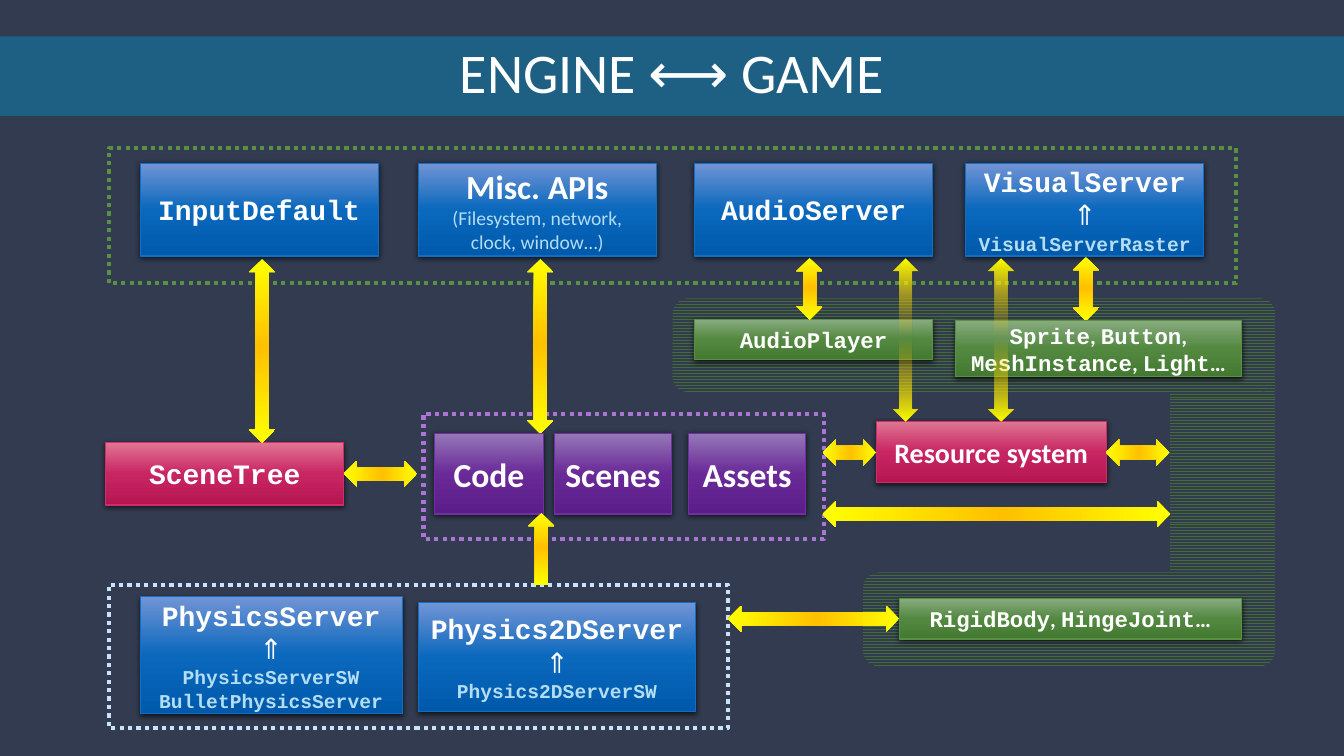
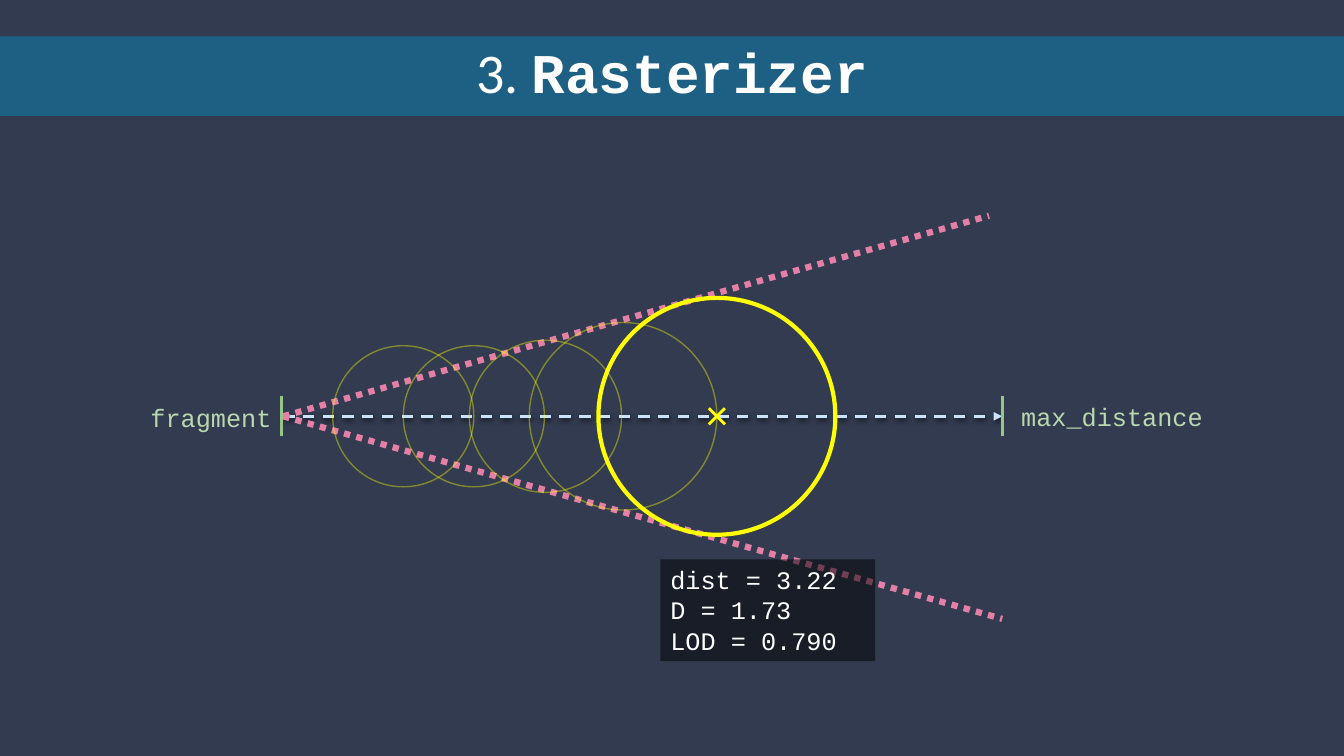
from copy import deepcopy

from pptx import Presentation
from pptx.dml.color import RGBColor
from pptx.enum.dml import MSO_LINE as DASH, MSO_PATTERN as PATTERN
from pptx.enum.shapes import MSO_CONNECTOR as CONNECTOR, MSO_SHAPE as SHAPE
from pptx.enum.text import MSO_ANCHOR as ANCHOR, MSO_AUTO_SIZE as AUTO_SIZE, PP_ALIGN as ALIGN
from pptx.oxml import parse_xml
from pptx.oxml.ns import nsdecls, qn
from pptx.util import Inches, Pt

BACKGROUND, BAND = "323B4F", "009DD9"
WHITE, YELLOW, ICE, SKY = "FFFFFF", "FFFF00", "C8E3FB", "B2DDF2"
PINK, SAGE, LEAF = "E480A6", "BAD8AF", "97C587"
SANS, MONO = "Calibri", "Courier New"

TITLE = (SANS, 40, WHITE, False)
TITLE_CODE = (MONO, 40, WHITE, True)
SERVER = (MONO, 20, WHITE, True)
ARROW_UP = (SANS, 20, WHITE, False)
BACKEND = (MONO, 14, SKY, True)
HEADING = (SANS, 24, WHITE, True)
DETAIL = (SANS, 14, SKY, False)
SYSTEM = (SANS, 20, WHITE, True)
NODE = (MONO, 16, WHITE, True)
NODE_MARK = (SANS, 16, WHITE, True)
LABEL = (MONO, 18, SAGE, False)
READOUT = (MONO, 18, WHITE, False)

BLUE = ("7294D5", "0A68BD", "0059AB", "0F6FC6")
PURPLE = ("9577B7", "692A98", "5B1D89", "7030A0")
RED = ("DF7692", "C82563", "B51652", "D22C6B")
GREEN = ("88AB7F", "528840", "447932", "599046")

SHADOW = (
    f'<a:outerShdw {nsdecls("a")} blurRad="50800" dist="15240" dir="5400000" rotWithShape="0">'
    '<a:srgbClr val="000000"><a:alpha val="68000"/></a:srgbClr></a:outerShdw>'
)


def paint(fill, *colors, alpha=100, middle=0.5):
    if len(colors) == 1:
        fill.solid()
        fill.fore_color.rgb = RGBColor.from_string(colors[0])
        tinted = fill._xPr.find(qn("a:solidFill"))[0] if alpha < 100 else None
    else:
        fill.gradient()
        fill.gradient_angle = 270
        stops = fill._xPr.find(qn("a:gradFill")).find(qn("a:gsLst"))
        stops.insert(1, deepcopy(stops[0]))
        for stop, color, position in zip(fill.gradient_stops, colors, (0, middle, 1)):
            stop.color.rgb = RGBColor.from_string(color)
            stop.position = position
        tinted = stops[1][0]
    if alpha < 100:
        tinted.append(parse_xml(f'<a:alpha {nsdecls("a")} val="{alpha * 1000}"/>'))


def write(frame, lines, align=ALIGN.CENTER, anchor=ANCHOR.MIDDLE):
    frame.word_wrap = True
    frame.vertical_anchor = anchor
    for index, line in enumerate(lines):
        para = frame.add_paragraph() if index else frame.paragraphs[0]
        para.alignment = align
        for text, (name, size, color, bold) in line:
            span = para.add_run()
            span.text = text
            span.font.name = name
            span.font.size = Pt(size)
            span.font.bold = bold
            paint(span.font.fill, color)


deck = Presentation()
deck.slide_width = Inches(13.33)
deck.slide_height = Inches(7.5)
paint(deck.slide_master.background.fill, BACKGROUND)

titles = [
    [("ENGINE ⟷ GAME", TITLE)],
    [("3. ", TITLE), ("Rasterizer", TITLE_CODE)],
]
for runs in titles:
    page = deck.slides.add_slide(deck.slide_layouts[5])
    title = page.shapes.title
    title.left, title.top = Inches(0), Inches(0.36)
    title.width, title.height = Inches(13.33), Inches(0.79)
    paint(title.fill, BAND, alpha=38)
    write(title.text_frame, [runs])
    title.text_frame.auto_size = AUTO_SIZE.NONE
    title.text_frame.paragraphs[0].line_spacing = 0.85

engine, rasterizer = deck.slides

node_areas = [(11.6, 2.96, 1.05, 3.23), (8.56, 5.68, 4.09, 0.93), (6.67, 2.96, 5.98, 0.93)]
for place in node_areas:
    area = engine.shapes.add_shape(SHAPE.ROUNDED_RECTANGLE, *map(Inches, place))
    area.shadow.inherit = False
    area.line.fill.background()
    area.fill.patterned()
    area.fill.pattern = PATTERN.ZIG_ZAG
    area.fill.fore_color.rgb = RGBColor.from_string("436C34")
    area.fill.back_color.rgb = RGBColor.from_string(BACKGROUND)

frames = [
    ((4.2, 4.11, 3.97, 1.24), "AB74D5"),
    ((1.08, 1.47, 11.18, 1.34), "599046"),
    ((1.08, 5.8, 6.14, 1.42), ICE),
]
for place, color in frames:
    frame = engine.shapes.add_shape(SHAPE.RECTANGLE, *map(Inches, place))
    frame.shadow.inherit = False
    frame.fill.background()
    paint(frame.line.fill, color)
    frame.line.width = Pt(3)
    frame.line.dash_style = DASH.ROUND_DOT

up = [("⇑", ARROW_UP)]
boxes = [
    ((1.39, 1.62, 2.36, 0.92), BLUE, [[("InputDefault", SERVER)]]),
    ((4.15, 1.62, 2.36, 0.92), BLUE, [
        [("Misc. APIs", HEADING)],
        [("(Filesystem, network,", DETAIL)],
        [("clock, window…)", DETAIL)],
    ]),
    ((6.89, 1.62, 2.36, 0.92), BLUE, [[("AudioServer", SERVER)]]),
    ((9.58, 1.62, 2.36, 0.92), BLUE, [
        [("VisualServer", SERVER)], up, [("VisualServerRaster", BACKEND)],
    ]),
    ((1.39, 5.92, 2.6, 1.16), BLUE, [
        [("PhysicsServer", SERVER)], up,
        [("PhysicsServerSW", BACKEND)], [("BulletPhysicsServer", BACKEND)],
    ]),
    ((4.15, 5.98, 2.75, 1.08), BLUE, [
        [("Physics2DServer", SERVER)], up, [("Physics2DServerSW", BACKEND)],
    ]),
    ((4.31, 4.3, 1.08, 0.8), PURPLE, [[("Code", HEADING)]]),
    ((5.5, 4.3, 1.16, 0.8), PURPLE, [[("Scenes", HEADING)]]),
    ((6.83, 4.3, 1.16, 0.8), PURPLE, [[("Assets", HEADING)]]),
    ((1.05, 4.39, 2.36, 0.62), RED, [[("SceneTree", SERVER)]]),
    ((8.69, 4.18, 2.28, 0.61), RED, [[("Resource system", SYSTEM)]]),
    ((6.89, 3.17, 2.36, 0.4), GREEN, [[("AudioPlayer", NODE)]]),
]
node_groups = [
    ((8.92, 5.94, 3.39, 0.4), ["RigidBody", "HingeJoint"]),
    ((9.48, 3.18, 2.83, 0.56), ["Sprite", "Button", "MeshInstance", "Light"]),
]
for place, names in node_groups:
    runs = []
    for name in names:
        runs += [(name, NODE), (", ", NODE_MARK)]
    runs[-1] = ("…", NODE_MARK)
    boxes.append((place, GREEN, [runs]))

for place, (top_color, mid_color, low_color, edge), lines in boxes:
    box = engine.shapes.add_shape(SHAPE.RECTANGLE, *map(Inches, place))
    paint(box.fill, top_color, mid_color, low_color)
    paint(box.line.fill, edge)
    box.line.width = Pt(0.75)
    box.shadow.inherit = False
    box._element.spPr.find(qn("a:effectLst")).append(parse_xml(SHADOW))
    write(box.text_frame, lines)

THICKNESS = 0.26
arrows = [
    (SHAPE.UP_DOWN_ARROW, center, top, length, 0, alpha)
    for center, top, length, alpha in [
        (5.36, 2.57, 1.73, 100),
        (2.6, 2.57, 1.82, 100),
        (8.03, 2.56, 0.61, 100),
        (10.77, 2.55, 0.63, 100),
        (8.98, 2.57, 1.61, 0),
        (9.93, 2.57, 1.61, 0),
    ]
]
arrows.append((SHAPE.UP_ARROW, 5.37, 5.09, 0.71, 0, 100))
arrows += [
    (SHAPE.UP_DOWN_ARROW, left + length / 2, middle - length / 2, length, 90, 100)
    for left, middle, length in [
        (3.41, 4.7, 0.73),
        (7.22, 6.14, 1.7),
        (8.16, 4.49, 0.53),
        (10.97, 4.49, 0.63),
        (8.16, 5.1, 3.45),
    ]
]
for kind, center, top, length, rotation, alpha in arrows:
    arrow = engine.shapes.add_shape(
        kind, Inches(center - THICKNESS / 2), Inches(top), Inches(THICKNESS), Inches(length)
    )
    arrow.rotation = rotation
    arrow.shadow.inherit = False
    arrow.line.fill.background()
    paint(arrow.fill, YELLOW, "FFC000", YELLOW, alpha=alpha, middle=0.48)

AXIS = 4.13
lines = [
    ((2.81, AXIS), (9.94, AXIS), ICE, 2, DASH.DASH),
    ((2.81, AXIS), (9.94, 6.14), PINK, 4.5, DASH.ROUND_DOT),
    ((2.81, AXIS), (9.81, 2.14), PINK, 4.5, DASH.ROUND_DOT),
    ((9.94, AXIS - 0.2), (9.94, AXIS + 0.2), LEAF, 2, None),
    ((2.79, AXIS - 0.2), (2.79, AXIS + 0.2), LEAF, 2, None),
    ((7.19, AXIS - 0.08), (7.03, AXIS + 0.08), YELLOW, 2, None),
    ((7.19, AXIS + 0.08), (7.03, AXIS - 0.08), YELLOW, 2, None),
]
for start, end, color, width, dash in lines:
    line = rasterizer.shapes.add_connector(CONNECTOR.STRAIGHT, *map(Inches, start + end))
    paint(line.line.fill, color)
    line.line.width = Pt(width)
    line.line.dash_style = dash
    effects = parse_xml(f'<a:effectLst {nsdecls("a")}/>')
    line._element.spPr.append(effects)
    if dash == DASH.DASH:
        head = parse_xml(f'<a:tailEnd {nsdecls("a")} type="triangle"/>')
        line._element.spPr.find(qn("a:ln")).append(head)
        effects.append(parse_xml(SHADOW))

circles = [
    (4, 1.4, 1, 40),
    (4.7, 1.4, 1, 40),
    (5.41, 1.51, 1, 40),
    (6.18, 1.86, 1, 40),
    (7.11, 2.35, 3, 100),
]
for center, size, width, alpha in circles:
    circle = rasterizer.shapes.add_shape(
        SHAPE.OVAL, Inches(center - size / 2), Inches(AXIS - size / 2), Inches(size), Inches(size)
    )
    circle.shadow.inherit = False
    circle.fill.background()
    paint(circle.line.fill, YELLOW, alpha=alpha)
    circle.line.width = Pt(width)

labels = [
    ((10.03, 3.93, 2.2, 0.4), "max_distance", ALIGN.LEFT),
    ((1.28, 3.94, 1.51, 0.4), "fragment", ALIGN.RIGHT),
]
for place, text, align in labels:
    label = rasterizer.shapes.add_textbox(*map(Inches, place))
    write(label.text_frame, [[(text, LABEL)]], align, ANCHOR.TOP)

readout = rasterizer.shapes.add_shape(SHAPE.RECTANGLE, *map(Inches, (6.55, 5.55, 2.13, 1.01)))
readout.shadow.inherit = False
readout.line.fill.background()
paint(readout.fill, "000000", alpha=50)
values = ["dist = 3.22", "D = 1.73", "LOD = 0.790"]
write(readout.text_frame, [[(value, READOUT)] for value in values], ALIGN.LEFT, ANCHOR.TOP)

deck.save("out.pptx")
